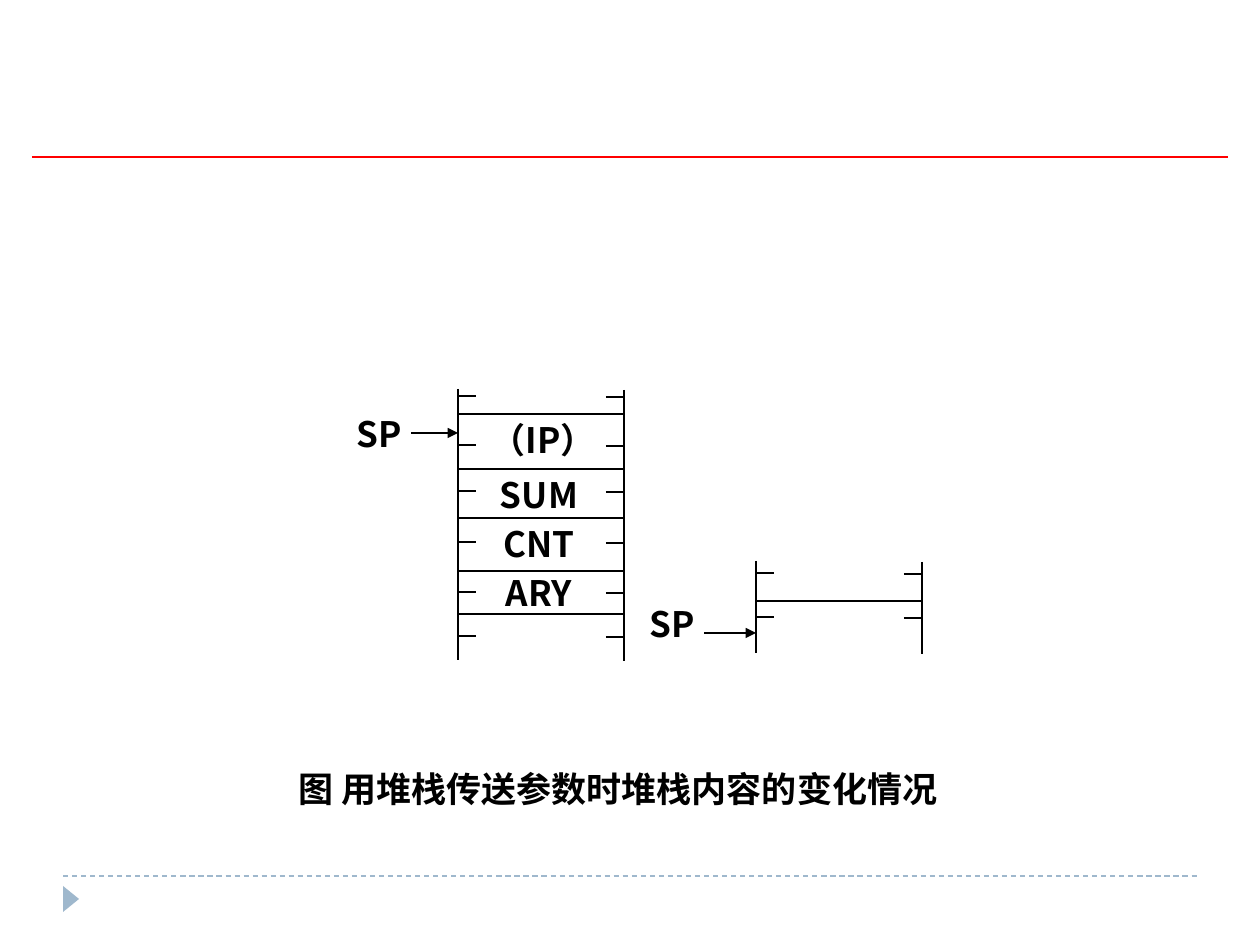
from lxml.etree import SubElement
from pptx import Presentation
from pptx.dml.color import RGBColor
from pptx.enum.dml import MSO_LINE_DASH_STYLE as Dash
from pptx.enum.shapes import MSO_CONNECTOR_TYPE as Connector, MSO_SHAPE as Shape
from pptx.enum.text import MSO_ANCHOR as Anchor, PP_ALIGN as Align
from pptx.oxml.ns import qn
from pptx.util import Pt

EMU_PER_PX = 914400 / 126
FONT = "Noto Sans CJK SC"
BLACK, WHITE, RED, STEEL = "000000", "FFFFFF", "FF0000", "9FB8CD"


def px(length):
    return round(length * EMU_PER_PX)


def color(value):
    return RGBColor.from_string(value)


def write(frame, text, size=20, bold=True, ink=BLACK, align=Align.CENTER, bottom=0):
    frame.word_wrap = True
    frame.vertical_anchor = Anchor.MIDDLE
    frame.margin_left = frame.margin_right = frame.margin_top = 0
    frame.margin_bottom = px(bottom)
    paragraph = frame.paragraphs[0]
    paragraph.alignment = align
    run = paragraph.add_run()
    run.text = text
    run.font.size, run.font.bold, run.font.name = Pt(size), bold, FONT
    run.font.color.rgb = color(ink)
    SubElement(run.font._element, qn("a:ea"), typeface=FONT)


class StackSlide:
    """Holds the slide and the line weight shared by its elements."""

    def __init__(self, slide, weight=0.75):
        self.shapes = slide.shapes
        self.weight = Pt(weight)

    def line(self, x1, y1, x2, y2, ink=BLACK, dash=None, arrow=False):
        connector = self.shapes.add_connector(
            Connector.STRAIGHT, px(x1), px(y1), px(x2), px(y2))
        connector.line.width = self.weight
        connector.line.color.rgb = color(ink)
        if dash:
            connector.line.dash_style = dash
        properties = connector._element.spPr
        if arrow:
            SubElement(properties.find(qn("a:ln")), qn("a:tailEnd"), type="triangle")
        SubElement(properties, qn("a:effectLst"))

    def box(self, x, y, width, height, text, **text_format):
        """Add a white rectangle that holds a label."""
        rect = self.shapes.add_shape(
            Shape.RECTANGLE, px(x), px(y), px(width), px(height))
        rect.shadow.inherit = False
        rect.fill.solid()
        rect.fill.fore_color.rgb = color(WHITE)
        rect.line.color.rgb = color(WHITE)
        rect.line.width = self.weight
        write(rect.text_frame, text, **text_format)

    def marker(self, x, y, width, height):
        """Add the footer triangle, turned to point right."""
        triangle = self.shapes.add_shape(
            Shape.ISOSCELES_TRIANGLE, px(x), px(y), px(width), px(height))
        triangle.rotation = 90
        triangle.shadow.inherit = False
        triangle.fill.solid()
        triangle.fill.fore_color.rgb = color(STEEL)
        triangle.line.fill.background()

    def stack(self, left, top, bottom, dividers, ticks, width=166, tick=18):
        """Draw two walls, the right one a px lower, with dividers and ticks."""
        right = left + width
        self.line(left, top, left, bottom)
        self.line(right, top + 1, right, bottom + 1)
        for y in dividers:
            self.line(left, y, right, y)
        for y in ticks:
            self.line(left, y, left + tick, y)
            self.line(right - tick, y + 1, right, y + 1)

    def caption(self, x, y, width, height, text):
        frame = self.shapes.add_textbox(px(x), px(y), px(width), px(height)).text_frame
        write(frame, text)


def main():
    deck = Presentation()
    deck.slide_width, deck.slide_height = px(1260), px(945)
    page = StackSlide(deck.slides.add_slide(deck.slide_layouts[6]))

    page.line(63, 876, 1197, 876, ink=STEEL, dash=Dash.DASH)
    page.marker(58, 891, 26, 16)
    page.line(32, 157, 1228, 157, ink=RED)

    full_left, rest_left = 458, 756
    pointers = [(full_left, 433, 357, 406), (rest_left, 633, 650, 596)]
    for wall, arrow_y, _, _ in pointers:
        page.line(wall - 79, arrow_y, wall, arrow_y, arrow=True)

    page.box(475, 422, 137, 40, "（IP）", bottom=5)
    for row, parameter in enumerate(["SUM", "CNT", "ARY"]):
        page.box(490, 473 + 49 * row, 98, 49, parameter, bottom=5)

    page.stack(full_left, 389, 660, dividers=[414, 469, 518, 571, 614],
               ticks=[396, 445, 491, 542, 592, 636])
    page.stack(rest_left, 561, 653, dividers=[601], ticks=[573, 617])

    for _, _, label_x, label_y in pointers:
        page.box(label_x, label_y, 53, 54, "SP", align=Align.JUSTIFY)
    page.caption(228, 766, 780, 44, "图 用堆栈传送参数时堆栈内容的变化情况")

    deck.save("out.pptx")


if __name__ == "__main__":
    main()
